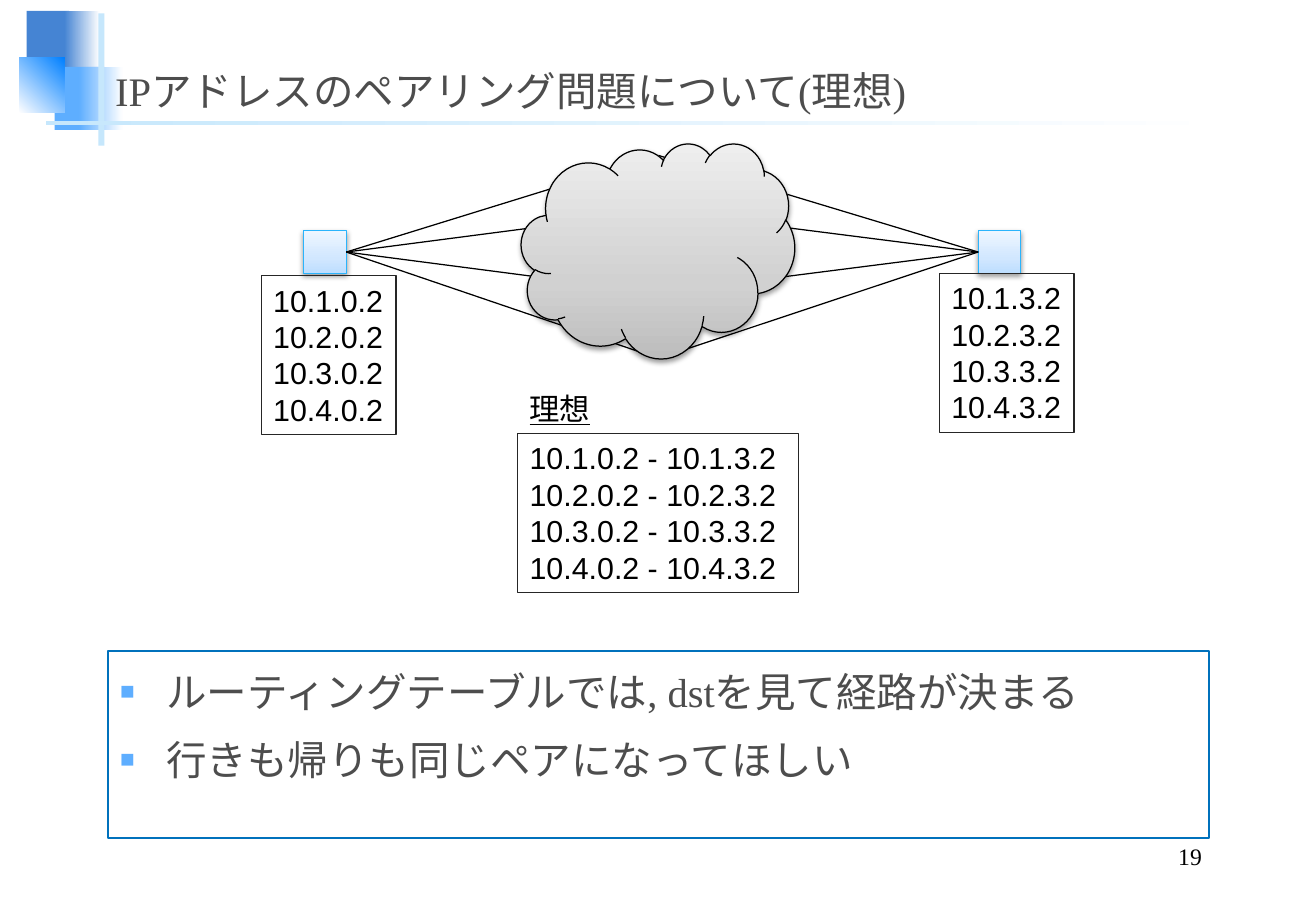
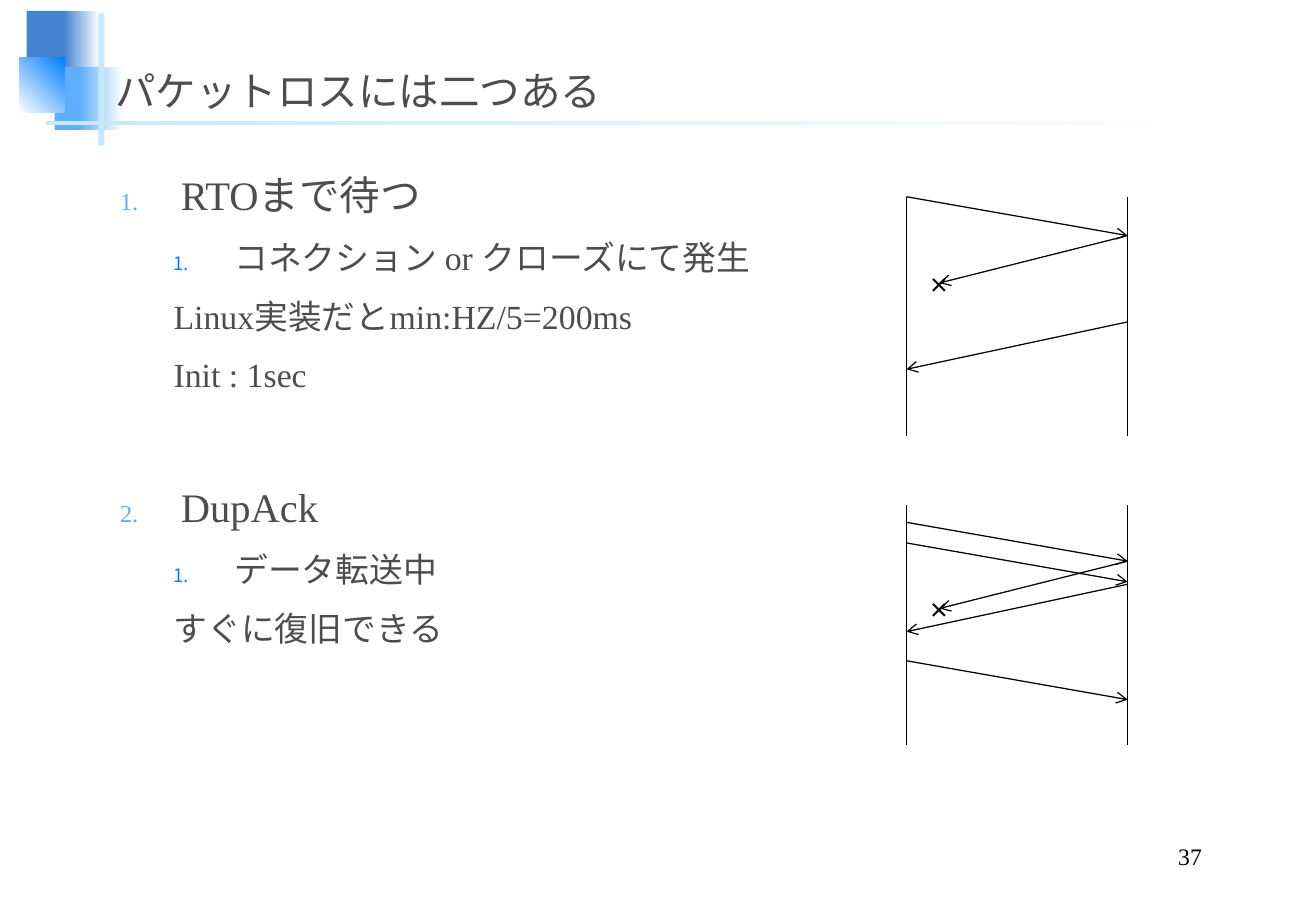
from copy import deepcopy
from dataclasses import dataclass
from typing import Optional

from lxml.etree import SubElement
from pptx import Presentation
from pptx.dml.color import RGBColor
from pptx.enum.shapes import MSO_CONNECTOR, MSO_SHAPE
from pptx.enum.text import MSO_ANCHOR, MSO_AUTO_SIZE, PP_ALIGN
from pptx.oxml.ns import qn
from pptx.util import Inches, Pt

BLACK = RGBColor(0x00, 0x00, 0x00)
WHITE = RGBColor(0xFF, 0xFF, 0xFF)
TEXT = RGBColor(0x4D, 0x4D, 0x4D)
NAVY = RGBColor(0x45, 0x84, 0xD3)
BLUE = RGBColor(0x5E, 0xAE, 0xFF)
BRIGHT = RGBColor(0x00, 0x80, 0xFF)
PALE = RGBColor(0xC6, 0xE7, 0xFC)
FRAME = RGBColor(0x00, 0x71, 0xBC)
HOST_LINE = RGBColor(0x2B, 0xB4, 0xFC)
BOX_LINE = RGBColor(0x26, 0x26, 0x26)
HOST_STOPS = ((0, RGBColor(0xBD, 0xDE, 0xFF)), (0.35, RGBColor(0xD1, 0xE7, 0xFF)),
              (1, RGBColor(0xEE, 0xF6, 0xFF)))
CLOUD_STOPS = ((0, RGBColor(0xBD, 0xBD, 0xBD)), (0.35, RGBColor(0xD1, 0xD1, 0xD1)),
               (1, RGBColor(0xEE, 0xEE, 0xEE)))
SERIF, SANS = "Times New Roman", "Arial"


@dataclass
class Block:
    """A filled rectangle; angle is counter-clockwise, as python-pptx has it."""
    box: tuple
    stops: tuple
    angle: float = 0


@dataclass
class Item:
    text: str
    level: int = 0
    bullet: str = ""
    start: int = 0
    before: float = 6


@dataclass
class Level:
    size: int
    color: RGBColor
    bullet_pct: int
    indent: float


@dataclass
class Sequence:
    """A packet exchange; send and ack times are offsets from the top."""
    top: float
    sends: tuple
    lost_ack: float
    ack: float


BLOCKS = (
    Block((0.22, 0.09, 0.35, 0.52), ((0, NAVY),)),
    Block((0.53, 0.09, 0.29, 0.52), ((0, NAVY), (1, WHITE))),
    Block((0.45, 0.55, 0.41, 0.52), ((0, BLUE),)),
    Block((0.65, 0.55, 0.36, 0.52), ((0, BLUE), (1, WHITE))),
    Block((0.16, 0.47, 0.37, 0.46), ((0, WHITE), (1, BRIGHT)), 45),
    Block((0.81, 0.11, 0.05, 1.09), ((0, PALE),)),
    Block((0.38, 1, 9.75, 0.03), ((0, PALE), (1, WHITE))),
)
LEVELS = (Level(24, BLUE, 60, 0), Level(20, BRIGHT, 55, 0.44))

HOST_Y, HOST_SIZE = 1.9, 0.35
LEFT_HOST, RIGHT_HOST = 2.5, 8.05
MIDDLE_X = 5.42
PATH_YS = (1.28, 1.74, 2.41, 2.95)
NETWORKS = range(1, 5)

LEFT_RAIL, RIGHT_RAIL, RAIL_HEIGHT = 7.46, 9.28, 1.97
LOST_X, SEND_DROP, ACK_DROP = 7.73, 0.32, 0.39
CROSS_SIZE = (0.35, 0.4)
SEQUENCES = (
    Sequence(1.62, (0,), 0.32, 1.03),
    Sequence(4.16, (0.14, 0.31, 1.28), 0.46, 0.65),
)


def paint(shape, stops: tuple, angle: float = 0) -> None:
    """Fill solid for one stop, with a linear gradient for more."""
    fill = shape.fill
    if len(stops) == 1:
        fill.solid()
        fill.fore_color.rgb = stops[0][1]
        return
    fill.gradient()
    fill.gradient_angle = angle
    stop_list = shape.element.spPr.find(".//" + qn("a:gsLst"))
    while len(stop_list) < len(stops):
        stop_list.append(deepcopy(stop_list[0]))
    for stop, (position, color) in zip(fill.gradient_stops, stops):
        stop.position = position
        stop.color.rgb = color


def set_line(shape, color: Optional[RGBColor], width: float = 0.75) -> None:
    if color is None:
        shape.line.fill.background()
    else:
        shape.line.color.rgb = color
        shape.line.width = Pt(width)


def add_block(s, kind, box: tuple, stops: tuple, angle: float = 0,
              line: Optional[RGBColor] = None):
    shape = s.shapes.add_shape(kind, *map(Inches, box))
    paint(shape, stops, angle)
    set_line(shape, line)
    shape.shadow.inherit = False
    return shape


def add_drop_shadow(shape) -> None:
    effects = shape.element.spPr.find(qn("a:effectLst"))
    shadow = SubElement(effects, qn("a:outerShdw"), blurRad=str(Pt(3.1)),
                        dist=str(Pt(1.6)), dir="5400000", rotWithShape="0")
    color = SubElement(shadow, qn("a:srgbClr"), val=str(BLACK))
    SubElement(color, qn("a:alpha"), val="38000")


def add_line(s, x1: float, y1: float, x2: float, y2: float, arrow: bool = False) -> None:
    line = s.shapes.add_connector(MSO_CONNECTOR.STRAIGHT, *map(Inches, (x1, y1, x2, y2)))
    set_line(line, BLACK)
    spPr = line.element.spPr
    if arrow:
        SubElement(spPr.find(qn("a:ln")), qn("a:tailEnd"), type="arrow")
    SubElement(spPr, qn("a:effectLst"))


def style_runs(p, size: float, font: str, color: RGBColor) -> None:
    for r in p.runs:
        r.font.size = Pt(size)
        r.font.name = font
        r.font.color.rgb = color


def add_text(s, box: tuple, text: str, size: float, font: str = SERIF,
             color: RGBColor = BLACK, anchor=MSO_ANCHOR.TOP, wrap: bool = True,
             line: Optional[RGBColor] = None):
    tb = s.shapes.add_textbox(*map(Inches, box))
    set_line(tb, line)
    tf = tb.text_frame
    tf.word_wrap = wrap
    tf.auto_size = MSO_AUTO_SIZE.NONE if wrap else MSO_AUTO_SIZE.SHAPE_TO_FIT_TEXT
    tf.vertical_anchor = anchor
    tf.text = text
    for p in tf.paragraphs:
        style_runs(p, size, font, color)
    return tf


def add_bullet(p, item: Item, level: Level) -> None:
    """Set the hanging indent and the bullet character or number."""
    hang = 0.38 if item.bullet == "■" else 0.5 if item.bullet else 0
    pPr = p._p.get_or_add_pPr()
    pPr.set("marL", str(Inches(level.indent + hang)))
    pPr.set("indent", str(-Inches(hang)))
    if not item.bullet:
        SubElement(pPr, qn("a:buNone"))
        return
    SubElement(SubElement(pPr, qn("a:buClr")), qn("a:srgbClr"), val=str(level.color))
    SubElement(pPr, qn("a:buSzPct"), val=str(level.bullet_pct * 1000))
    if item.start:
        SubElement(pPr, qn("a:buAutoNum"), type=item.bullet, startAt=str(item.start))
    else:
        SubElement(pPr, qn("a:buFont"), typeface=SANS)
        SubElement(pPr, qn("a:buChar"), char=item.bullet)


def add_body(s, box: tuple, items: tuple, line: Optional[RGBColor] = None) -> None:
    tb = s.shapes.add_textbox(*map(Inches, box))
    set_line(tb, line, 1.5)
    tf = tb.text_frame
    tf.word_wrap = True
    for i, item in enumerate(items):
        p = tf.add_paragraph() if i else tf.paragraphs[0]
        level = LEVELS[item.level]
        p.text = item.text
        p.level = item.level
        add_bullet(p, item, level)
        p.line_spacing = 1.2
        if i:
            p.space_before = Pt(item.before)
        style_runs(p, level.size, SERIF, TEXT)


def add_base_slide(prs, title: str, number: int):
    s = prs.slides.add_slide(prs.slide_layouts[6])
    for block in BLOCKS:
        add_block(s, MSO_SHAPE.RECTANGLE, block.box, block.stops, block.angle)
    add_text(s, (0.85, 0.36, 9.29, 0.63), title, 24, color=TEXT, anchor=MSO_ANCHOR.BOTTOM)
    tf = add_text(s, (7.73, 6.9, 2.26, 0.31), str(number), 14, anchor=MSO_ANCHOR.BOTTOM)
    tf.paragraphs[0].alignment = PP_ALIGN.RIGHT
    return s


def add_addresses(s, box: tuple, lines: list) -> None:
    add_text(s, box, "\n".join(lines), 18, SANS, wrap=False, line=BOX_LINE)


def add_pairing_slide(prs) -> None:
    s = add_base_slide(prs, "IPアドレスのペアリング問題について(理想)", 19)
    add_body(s, (0.89, 5.36, 9.06, 1.54), (
        Item("ルーティングテーブルでは, dstを見て経路が決まる", bullet="■"),
        Item("行きも帰りも同じペアになってほしい", bullet="■"),
    ), FRAME)
    for x, port in ((LEFT_HOST, LEFT_HOST + HOST_SIZE), (RIGHT_HOST, RIGHT_HOST)):
        host = add_block(s, MSO_SHAPE.RECTANGLE, (x, HOST_Y, HOST_SIZE, HOST_SIZE),
                         HOST_STOPS, 90, HOST_LINE)
        add_drop_shadow(host)
        for y in PATH_YS:
            add_line(s, port, HOST_Y + HOST_SIZE / 2, MIDDLE_X, y)
    cloud = add_block(s, MSO_SHAPE.CLOUD, (4.29, 1.18, 2.25, 1.77), CLOUD_STOPS, 90, BLACK)
    add_drop_shadow(cloud)

    sources = [f"10.{n}.0.2" for n in NETWORKS]
    targets = [f"10.{n}.3.2" for n in NETWORKS]
    pairs = [f"{a} - {b}" for a, b in zip(sources, targets)]
    add_addresses(s, (2.15, 2.27, 1.11, 1.31), sources)
    add_addresses(s, (7.73, 2.25, 1.11, 1.31), targets)
    add_addresses(s, (4.26, 3.57, 2.31, 1.31), pairs)
    tf = add_text(s, (4.26, 3.16, 0.71, 0.4), "理想", 18, SANS, wrap=False)
    tf.paragraphs[0].runs[0].font.underline = True


def add_sequence(s, seq: Sequence) -> None:
    for x in (LEFT_RAIL, RIGHT_RAIL):
        add_line(s, x, seq.top, x, seq.top + RAIL_HEIGHT)
    for offset in seq.sends:
        y = seq.top + offset
        add_line(s, LEFT_RAIL, y, RIGHT_RAIL, y + SEND_DROP, arrow=True)
    for offset, end_x in ((seq.lost_ack, LOST_X), (seq.ack, LEFT_RAIL)):
        y = seq.top + offset
        add_line(s, RIGHT_RAIL, y, end_x, y + ACK_DROP, arrow=True)
    width, height = CROSS_SIZE
    cross_y = seq.top + seq.lost_ack + ACK_DROP - height / 2
    add_text(s, (LOST_X - width / 2, cross_y, width, height), "×", 18, SANS, wrap=False)


def add_loss_slide(prs) -> None:
    s = add_base_slide(prs, "パケットロスには二つある", 37)
    number = "arabicPeriod"
    add_body(s, (0.89, 1.27, 9.06, 5.32), (
        Item("RTOまで待つ", 0, number, 1),
        Item("コネクション or クローズにて発生", 1, number, 1),
        Item("Linux実装だとmin:HZ/5=200ms", 1),
        Item("Init : 1sec", 1),
        Item("DupAck", 0, number, 2, before=46),
        Item("データ転送中", 1, number, 1),
        Item("すぐに復旧できる", 1),
    ))
    for seq in SEQUENCES:
        add_sequence(s, seq)


def main() -> None:
    prs = Presentation()
    prs.slide_width, prs.slide_height = Inches(10.83), Inches(7.5)
    add_pairing_slide(prs)
    add_loss_slide(prs)
    prs.save("out.pptx")


if __name__ == "__main__":
    main()
